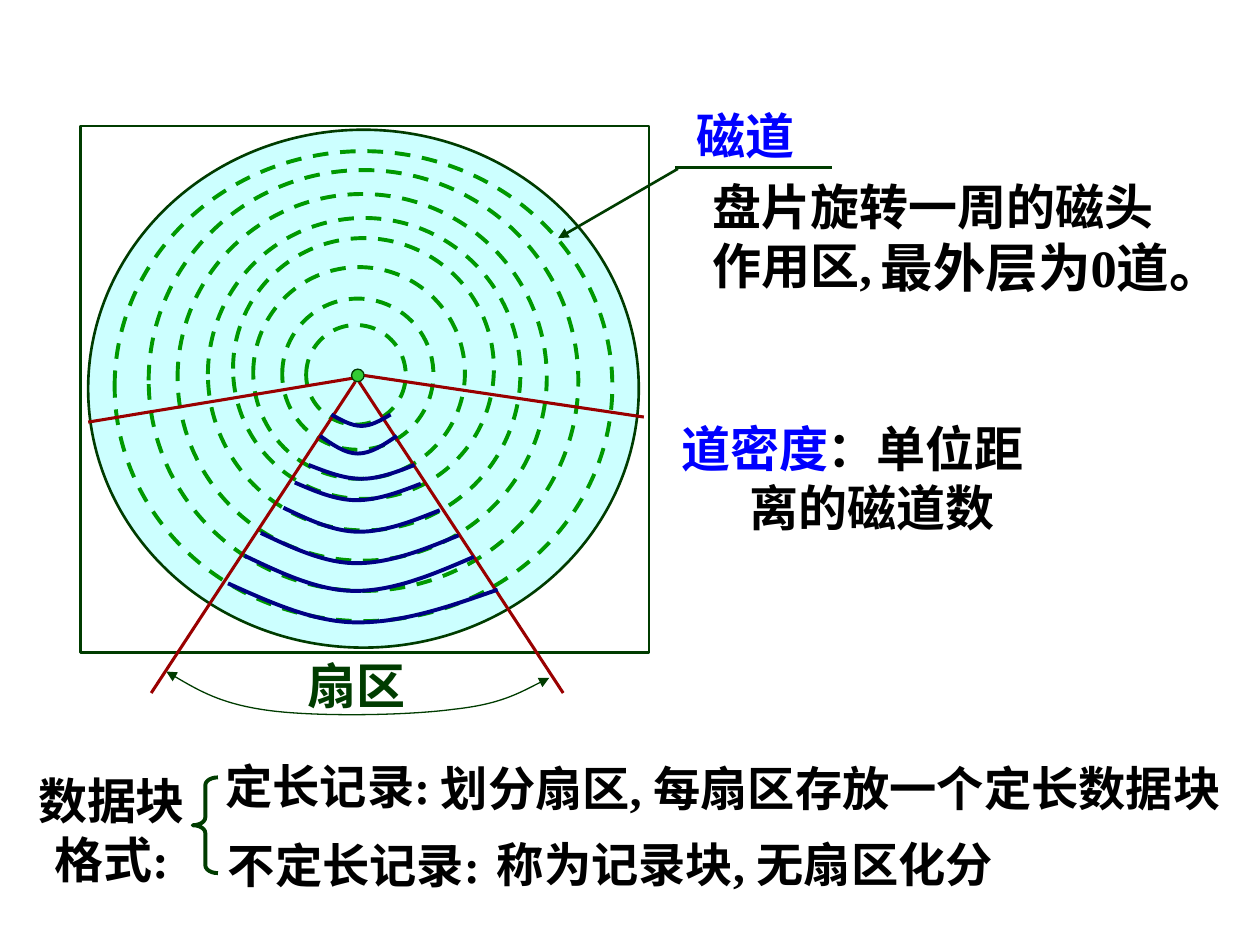
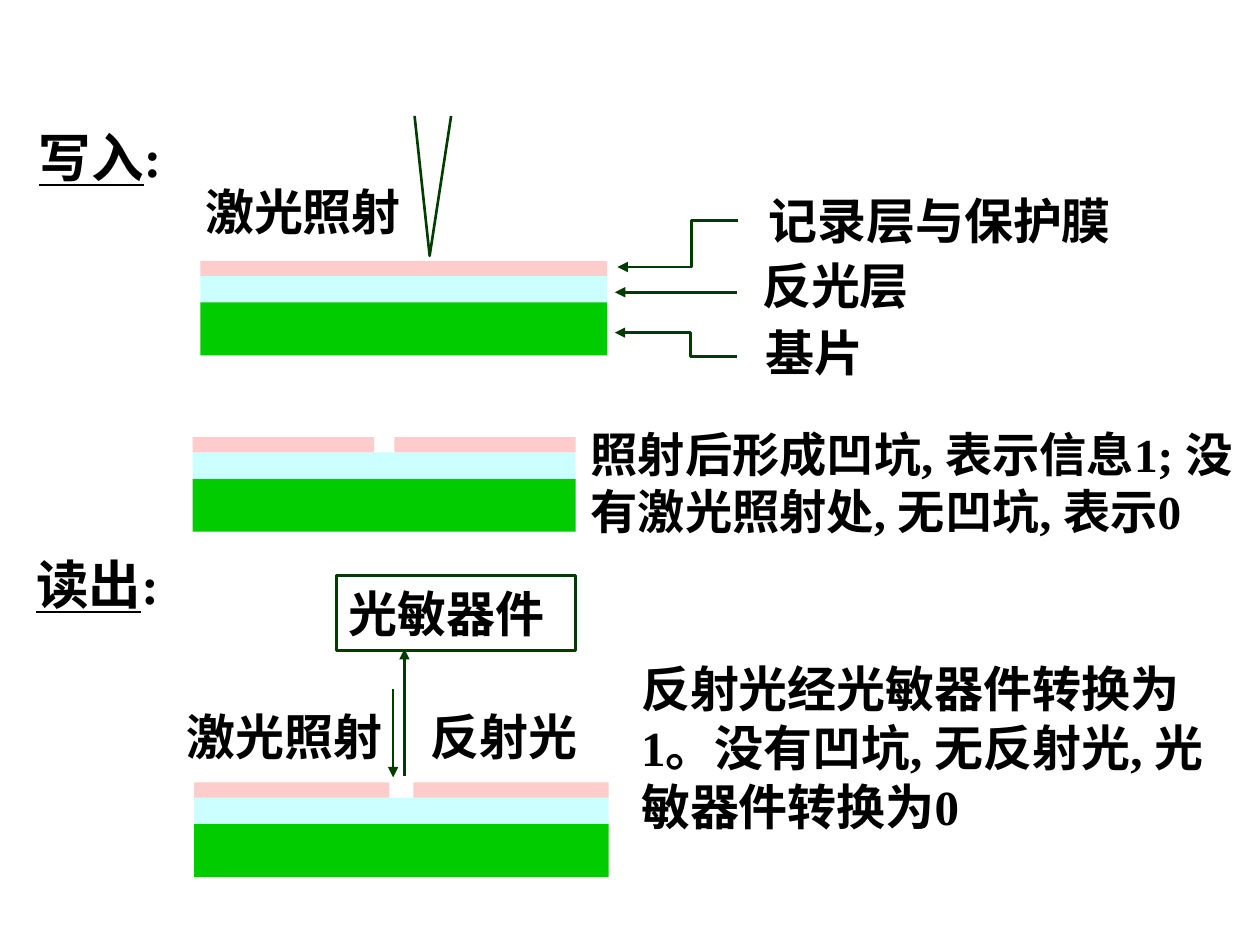
from dataclasses import dataclass
from typing import NamedTuple

from lxml.etree import SubElement
from pptx import Presentation
from pptx.dml.color import RGBColor
from pptx.enum.dml import MSO_LINE
from pptx.enum.shapes import MSO_CONNECTOR, MSO_SHAPE
from pptx.enum.text import PP_ALIGN
from pptx.oxml.ns import qn
from pptx.util import Inches, Pt


@dataclass(frozen=True)
class Theme:
    font: str = "Times New Roman"
    text: str = "000000"
    term: str = "0000FF"
    outline: str = "003C00"
    disk: str = "CCFFFF"
    track: str = "009900"
    sector: str = "990000"
    block: str = "000084"
    hub: str = "33CC33"
    film: str = "FFCCCC"
    base: str = "00CC00"
    body: float = 28
    small: float = 27
    large: float = 30
    thin: float = 0.75
    normal: float = 1.5
    medium: float = 1.75
    thick: float = 2.25


T = Theme()


class Point(NamedTuple):
    x: float
    y: float


class Box(NamedTuple):
    x: float
    y: float
    w: float
    h: float


class Run(NamedTuple):
    text: str
    color: str = T.text
    underline: bool = False


class Label(NamedTuple):
    box: Box
    text: str
    size: float = T.body
    color: str = T.text


class Arc(NamedTuple):
    left: Point
    bottom: Point
    right: Point


class DiskSection(NamedTuple):
    x: float
    y: float
    w: float
    pit: float = 0


# Shared drawing functions
def rgb(color: str) -> RGBColor:
    return RGBColor.from_string(color)


def emu(values) -> list:
    return [Inches(v) for v in values]


def set_line(sp, color: str, width: float, head: bool = False, tail: bool = False) -> None:
    sp.line.color.rgb = rgb(color)
    sp.line.width = Pt(width)
    ln = sp.line._get_or_add_ln()
    for name, wanted in (("a:headEnd", head), ("a:tailEnd", tail)):
        if wanted:
            SubElement(ln, qn(name)).set("type", "triangle")


def write(tf, text, *, size: float = T.body, color: str = T.text,
          align=PP_ALIGN.LEFT, hanging: float = 0) -> None:
    """Fill a text frame with a string or a list of runs."""
    tf.word_wrap = True
    p = tf.paragraphs[0]
    p.alignment = align
    if hanging:
        pPr = p._p.get_or_add_pPr()
        pPr.set("marL", str(Inches(hanging)))
        pPr.set("indent", str(-Inches(hanging)))
    for run in [Run(text, color)] if isinstance(text, str) else text:
        r = p.add_run()
        r.text = run.text
        r.font.name = T.font
        r.font.size = Pt(size)
        r.font.bold = True
        if run.underline:
            r.font.underline = True
        r.font.color.rgb = rgb(run.color)


def add_text(s, box: Box, text, **fmt) -> None:
    write(s.shapes.add_textbox(*emu(box)).text_frame, text, **fmt)


def add_labels(s, labels: list) -> None:
    for label in labels:
        add_text(s, label.box, label.text, size=label.size, color=label.color)


def add_box(s, kind, box: Box, *, fill: str = "", line: str = "",
            width: float = T.normal, dashed: bool = False):
    sp = s.shapes.add_shape(kind, *emu(box))
    sp.shadow.inherit = False
    if fill:
        sp.fill.solid()
        sp.fill.fore_color.rgb = rgb(fill)
    else:
        sp.fill.background()
    if line:
        set_line(sp, line, width)
        if dashed:
            sp.line.dash_style = MSO_LINE.DASH
    else:
        sp.line.fill.background()
    return sp


def add_line(s, start: Point, end: Point, *, color: str = T.outline,
             width: float = T.normal, arrow: bool = False) -> None:
    sp = s.shapes.add_connector(MSO_CONNECTOR.STRAIGHT, *emu(start + end))
    set_line(sp, color, width, tail=arrow)
    SubElement(sp._element.spPr, qn("a:effectLst"))


def add_path(s, points: list, *, color: str = T.outline, width: float = T.normal,
             head: bool = False, tail: bool = False, curved: bool = False) -> None:
    """Draw an open path; a curved one takes three points per cubic curve."""
    first, *rest = [emu(pt) for pt in points]
    builder = s.shapes.build_freeform(*first)
    builder.add_line_segments(rest, close=False)
    sp = builder.convert_to_shape()
    sp.shadow.inherit = False
    sp.fill.background()
    set_line(sp, color, width, head, tail)
    if curved:
        outline = next(sp._element.iter(qn("a:path")))
        segments = outline.findall(qn("a:lnTo"))
        for i in range(0, len(segments), 3):
            cubic = SubElement(outline, qn("a:cubicBezTo"))
            for segment in segments[i:i + 3]:
                cubic.append(segment[0])
                outline.remove(segment)


def arc_controls(arc: Arc) -> list:
    """Control points of an arc that is level at its bottom."""
    a, m, b = arc
    return [a,
            Point(a.x + (m.x - a.x) / 3, (a.y + m.y) / 2),
            Point(a.x + (m.x - a.x) * 2 / 3, m.y), m,
            Point(m.x + (b.x - m.x) / 3, m.y),
            Point(m.x + (b.x - m.x) * 2 / 3, (m.y + b.y) / 2), b]


# Slide 1: tracks and sectors
TRACKS = [Box(0.91, 1.2, 3.95, 3.73), Box(1.18, 1.35, 3.41, 3.34),
          Box(1.41, 1.54, 2.93, 2.91), Box(1.65, 1.73, 2.48, 2.48),
          Box(1.85, 1.89, 2.07, 2.07), Box(2.01, 2.12, 1.68, 1.68),
          Box(2.24, 2.37, 1.2, 1.2), Box(2.43, 2.58, 0.79, 0.79)]

SECTOR_EDGES = [(Point(2.82, 3.03), Point(1.2, 5.5)),
                (Point(2.85, 3.03), Point(4.47, 5.5)),
                (Point(2.81, 3), Point(0.7, 3.35)),
                (Point(2.89, 2.98), Point(5.11, 3.31))]

BLOCK_ARCS = [Arc(Point(*a), Point(*m), Point(*b)) for a, m, b in [
    ((2.63, 3.29), (2.87, 3.38), (3.1, 3.29)),
    ((2.54, 3.46), (2.84, 3.6), (3.15, 3.46)),
    ((2.45, 3.69), (2.87, 3.8), (3.29, 3.69)),
    ((2.34, 3.83), (2.83, 3.97), (3.34, 3.84)),
    ((2.25, 4.03), (2.85, 4.22), (3.49, 4.05)),
    ((2.07, 4.23), (2.83, 4.47), (3.64, 4.25)),
    ((1.94, 4.41), (2.82, 4.69), (3.76, 4.42)),
    ((1.81, 4.63), (2.84, 4.94), (3.95, 4.68))]]

SECTOR_SPAN = [Point(4.36, 5.38), Point(4.16, 5.48), Point(3.97, 5.59), Point(3.6, 5.63),
               Point(3.23, 5.68), Point(2.52, 5.69), Point(2.14, 5.64),
               Point(1.76, 5.59), Point(1.54, 5.46), Point(1.32, 5.33)]

TRACK_LABELS = [
    Label(Box(5.43, 0.79, 1.41, 0.57), "磁道", color=T.term),
    Label(Box(5.56, 1.35, 3.99, 1.03), "盘片旋转一周的磁头作用区,"),
    Label(Box(6.89, 1.82, 2.98, 0.6), "最外层为0道。", T.large),
    Label(Box(2.34, 5.15, 1.41, 0.57), "扇区", color=T.outline),
    Label(Box(1.69, 5.96, 2.3, 0.55), "定长记录:", T.small),
    Label(Box(1.71, 6.59, 2.74, 0.55), "不定长记录:", T.small),
    Label(Box(3.4, 5.98, 6.61, 0.55), "划分扇区, 每扇区存放一个定长数据块", T.small),
    Label(Box(3.76, 6.58, 4.25, 0.55), " 称为记录块, 无扇区化分", T.small)]


def build_tracks(s) -> None:
    # Disk with its tracks
    add_box(s, MSO_SHAPE.RECTANGLE, Box(0.64, 1, 4.51, 4.18), line=T.outline)
    add_box(s, MSO_SHAPE.OVAL, Box(0.7, 1.03, 4.37, 4.11), fill=T.disk, line=T.outline)
    for track in TRACKS:
        add_box(s, MSO_SHAPE.OVAL, track, line=T.track, width=T.thick, dashed=True)

    # Sectors and their data blocks
    for start, end in SECTOR_EDGES:
        add_line(s, start, end, color=T.sector, width=T.medium)
    for arc in BLOCK_ARCS:
        add_path(s, arc_controls(arc), color=T.block, width=T.thick, curved=True)
    add_box(s, MSO_SHAPE.OVAL, Box(2.79, 2.93, 0.1, 0.1), fill=T.hub,
            line=T.outline, width=T.thin)
    add_path(s, SECTOR_SPAN, width=T.thin, head=True, tail=True, curved=True)

    # Track callout
    add_line(s, Point(5.36, 1.33), Point(6.6, 1.33))
    add_line(s, Point(5.38, 1.34), Point(4.43, 1.89), arrow=True)

    # Explanations
    add_labels(s, TRACK_LABELS)
    add_text(s, Box(5.22, 3.27, 3.17, 1.04),
             [Run(" "), Run("道密度", T.term), Run("：单位距离的磁道数")], hanging=0.63)
    add_text(s, Box(0.11, 6.07, 1.55, 1.03), "数据块格式:", align=PP_ALIGN.CENTER)
    brace = add_box(s, MSO_SHAPE.LEFT_BRACE, Box(1.53, 6.17, 0.2, 0.76),
                    line=T.outline, width=T.thick)
    brace.adjustments[0] = 0.31


# Slide 2: writing and reading an optical disk
SECTIONS = [DiskSection(1.59, 2.07, 3.23), DiskSection(1.53, 3.47, 3.04, pit=0.16),
            DiskSection(1.54, 6.21, 3.29, pit=0.19)]

OPTICAL_LABELS = [
    Label(Box(6, 1.46, 3.41, 0.57), "记录层与保护膜"),
    Label(Box(5.95, 1.98, 1.61, 0.57), "反光层"),
    Label(Box(5.98, 2.51, 1.88, 0.57), "基片"),
    Label(Box(1.53, 1.39, 2.02, 0.57), "激光照射"),
    Label(Box(1.38, 5.56, 2.02, 0.57), "激光照射"),
    Label(Box(3.32, 5.56, 2.02, 0.57), "反射光"),
    Label(Box(4.59, 3.33, 5.34, 1),
          "照射后形成凹坑, 表示信息1; 没有激光照射处, 无凹坑, 表示0", T.small),
    Label(Box(4.99, 5.18, 4.97, 1.5),
          "反射光经光敏器件转换为1。没有凹坑, 无反射光, 光敏器件转换为0")]


def add_section(s, sec: DiskSection) -> None:
    """Reflecting layer, base, and a recording film split by its pit."""
    x, y, w, pit = sec
    layers = [(Box(x, y + 0.12, w, 0.23), T.disk), (Box(x, y + 0.33, w, 0.42), T.base)]
    if pit:
        half = (w - pit) / 2
        layers += [(Box(left, y, half, 0.12), T.film) for left in (x, x + half + pit)]
    else:
        layers.append((Box(x, y, w, 0.12), T.film))
    for box, color in layers:
        add_box(s, MSO_SHAPE.RECTANGLE, box, fill=color)


def build_optical(s) -> None:
    for sec in SECTIONS:
        add_section(s, sec)

    # Layer callouts
    add_path(s, [Point(4.9, 2.12), Point(5.49, 2.12), Point(5.49, 1.75),
                 Point(5.86, 1.75)], head=True)
    add_line(s, Point(5.85, 2.32), Point(4.88, 2.32), arrow=True)
    add_path(s, [Point(4.88, 2.64), Point(5.48, 2.64), Point(5.48, 2.83),
                 Point(5.85, 2.83)], head=True)

    # Laser beam, then incoming and reflected light
    add_path(s, [Point(3.29, 0.92), Point(3.41, 2.03), Point(3.58, 0.92)])
    add_line(s, Point(3.12, 5.47), Point(3.12, 6.17), arrow=True)
    add_line(s, Point(3.21, 6.16), Point(3.21, 5.15), arrow=True)
    sensor = add_box(s, MSO_SHAPE.RECTANGLE, Box(2.67, 4.57, 1.9, 0.59),
                     line=T.outline, width=T.medium)
    write(sensor.text_frame, "光敏器件")

    # Headings and explanations
    for box, heading in ((Box(0.21, 0.94, 1.47, 0.6), "写入"),
                         (Box(0.19, 4.33, 1.47, 0.6), "读出")):
        add_text(s, box, [Run(heading, underline=True), Run(":")], size=T.large)
    add_labels(s, OPTICAL_LABELS)


def main() -> None:
    prs = Presentation()
    prs.slide_width, prs.slide_height = Inches(10), Inches(7.5)
    blank = prs.slide_layouts[6]
    for build in (build_tracks, build_optical):
        build(prs.slides.add_slide(blank))
    prs.save("out.pptx")


if __name__ == "__main__":
    main()
